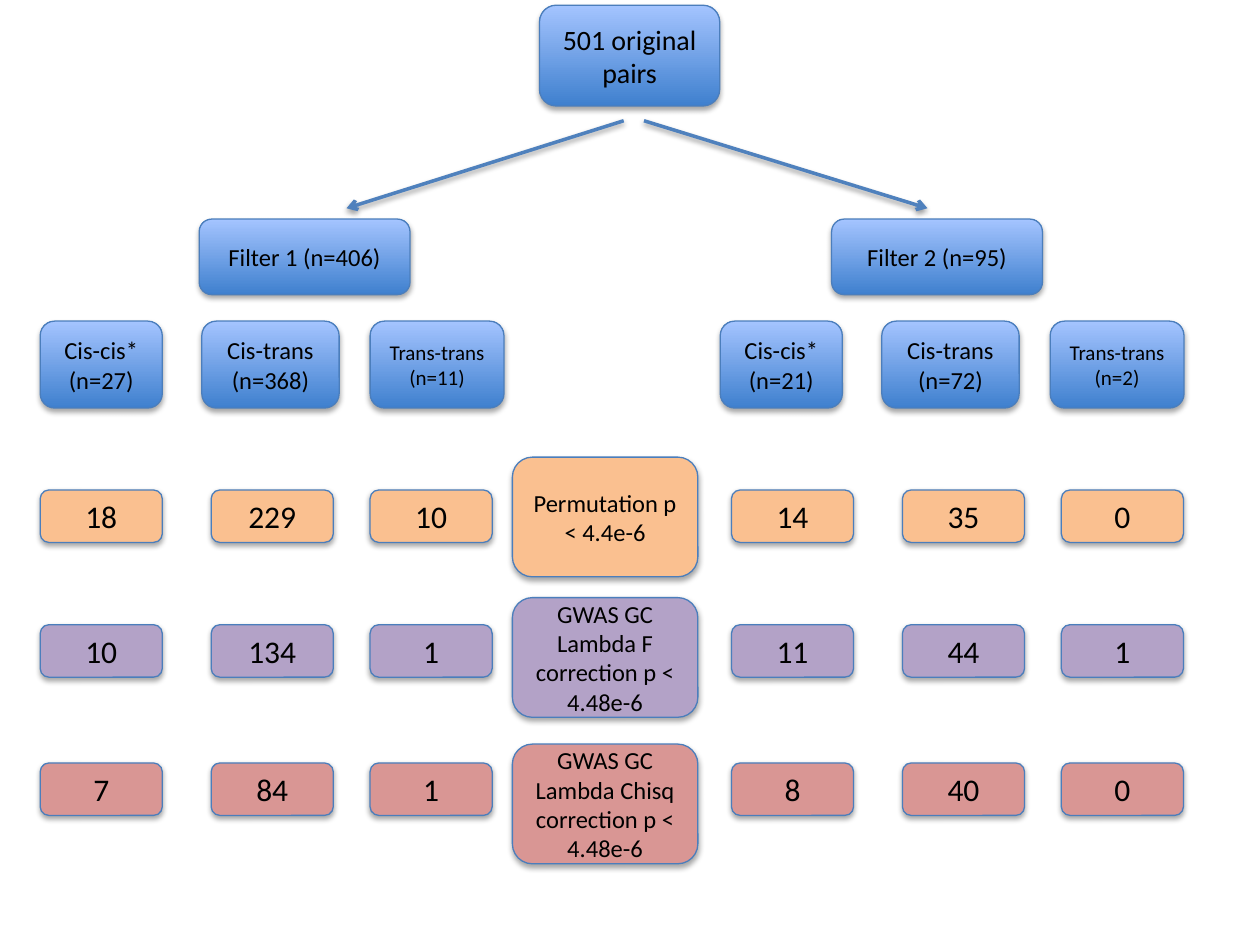
import pptx
import pptx.dml.color
import pptx.enum.shapes
import pptx.enum.text
import pptx.oxml
import pptx.oxml.ns
import pptx.util
from pptx.util import Pt

RGBColor = pptx.dml.color.RGBColor
BLACK = RGBColor(0x00, 0x00, 0x00)
OUTLINE = RGBColor(0x4B, 0x7E, 0xBC)
ARROW = RGBColor(0x4F, 0x81, 0xBD)
BLUE_BOTTOM = RGBColor(0x3F, 0x80, 0xCE)
BLUE_TOP = RGBColor(0xA4, 0xC4, 0xFF)
ORANGE = RGBColor(0xFA, 0xC0, 0x90)
PURPLE = RGBColor(0xB3, 0xA2, 0xC7)
RED = RGBColor(0xD9, 0x96, 0x94)
FONT = "Calibri"

ROOT = "501 original pairs"
# Text, left edge of the filter, of its pair types and of its counts, pair numbers
FILTERS = [
    ("Filter 1 (n=406)", 113.8, 23, 23, (27, 368, 11)),
    ("Filter 2 (n=95)", 475.2, 411.6, 418, (21, 72, 2)),
]
# Name, offset from the first type, width, text size, offset of its counts
PAIR_TYPES = [
    ("Cis-cis*", 0, 69.8, 14, 0),
    ("Cis-trans", 92.3, 78.5, 14, 97.7),
    ("Trans-trans", 188.5, 76.5, 12, 188.5),
]
# Text, colour, top of the criterion, top of the counts, counts for each filter
CRITERIA = [
    ("Permutation p < 4.4e-6", ORANGE, 261.2, 280, ((18, 229, 10), (14, 35, 0))),
    ("GWAS GC Lambda F correction p < 4.48e-6", PURPLE, 341.5, 357,
     ((10, 134, 1), (11, 44, 1))),
    ("GWAS GC Lambda Chisq correction p < 4.48e-6", RED, 425.2, 436,
     ((7, 84, 1), (8, 40, 0))),
]
ARROWS = [((356.4, 69), (198, 119)), ((368, 69), (530, 119))]


def add_shadow(properties, distance, opacity):
    """Put a soft downward shadow into the shape properties."""
    effects = properties.find(pptx.oxml.ns.qn("a:effectLst"))
    if effects is None:
        effects = pptx.oxml.parse_xml(
            f"<a:effectLst {pptx.oxml.ns.nsdecls('a')}/>")
        properties.append(effects)
    effects.append(pptx.oxml.parse_xml(
        f'<a:outerShdw {pptx.oxml.ns.nsdecls("a")} blurRad="{Pt(3.15)}" '
        f'dist="{Pt(distance)}" dir="5400000" rotWithShape="0">'
        f'<a:srgbClr val="{BLACK}"><a:alpha val="{opacity * 1000}"/></a:srgbClr>'
        '</a:outerShdw>'))


def add_box(slide, text, left, top, width, height, size, color=None):
    """Add a rounded box; without a colour it gets the blue gradient."""
    shape = slide.shapes.add_shape(
        pptx.enum.shapes.MSO_SHAPE.ROUNDED_RECTANGLE,
        Pt(left), Pt(top), Pt(width), Pt(height))
    if color is None:
        shape.fill.gradient()
        shape.fill.gradient_angle = 90
        for stop, shade in zip(shape.fill.gradient_stops, (BLUE_BOTTOM, BLUE_TOP)):
            stop.color.rgb = shade
    else:
        shape.fill.solid()
        shape.fill.fore_color.rgb = color
    shape.line.color.rgb = OUTLINE
    shape.line.width = Pt(0.75)
    shape.shadow.inherit = False
    add_shadow(shape._element.spPr, 1.8, 35)
    frame = shape.text_frame
    frame.word_wrap = True
    frame.vertical_anchor = pptx.enum.text.MSO_ANCHOR.MIDDLE
    paragraph = frame.paragraphs[0]
    paragraph.text = text
    paragraph.alignment = pptx.enum.text.PP_ALIGN.CENTER
    paragraph.font.name = FONT
    paragraph.font.size = Pt(size)
    paragraph.font.color.rgb = BLACK


def add_arrow(slide, start, end):
    """Add a shadowed arrow from start to end."""
    connector = slide.shapes.add_connector(
        pptx.enum.shapes.MSO_CONNECTOR.STRAIGHT,
        *(Pt(value) for value in start + end))
    connector.line.color.rgb = ARROW
    connector.line.width = Pt(2)
    connector.line._get_or_add_ln().append(pptx.oxml.parse_xml(
        f'<a:tailEnd {pptx.oxml.ns.nsdecls("a")} type="arrow"/>'))
    add_shadow(connector._element.spPr, 1.6, 38)


def main():
    """Build the filter tree and save it."""
    presentation = pptx.Presentation()
    presentation.slide_width = Pt(720)
    presentation.slide_height = Pt(540)
    slide = presentation.slides.add_slide(presentation.slide_layouts[6])

    add_box(slide, ROOT, 308.3, 3, 103, 57.6, 16)
    for start, end in ARROWS:
        add_arrow(slide, start, end)

    for text, filter_left, types_left, _, numbers in FILTERS:
        add_box(slide, text, filter_left, 125.2, 120.5, 43.2, 14)
        for (name, offset, width, size, _), number in zip(PAIR_TYPES, numbers):
            add_box(slide, f"{name} (n={number})", types_left + offset, 183.5,
                    width, 49.7, size)

    for text, color, top, counts_top, counts in CRITERIA:
        add_box(slide, text, 292.8, top, 106, 68.4, 14, color)
        for (_, _, _, counts_left, _), row in zip(FILTERS, counts):
            for (*_, offset), count in zip(PAIR_TYPES, row):
                add_box(slide, str(count), counts_left + offset, counts_top,
                        69.8, 30, 18, color)

    presentation.save("out.pptx")


main()
